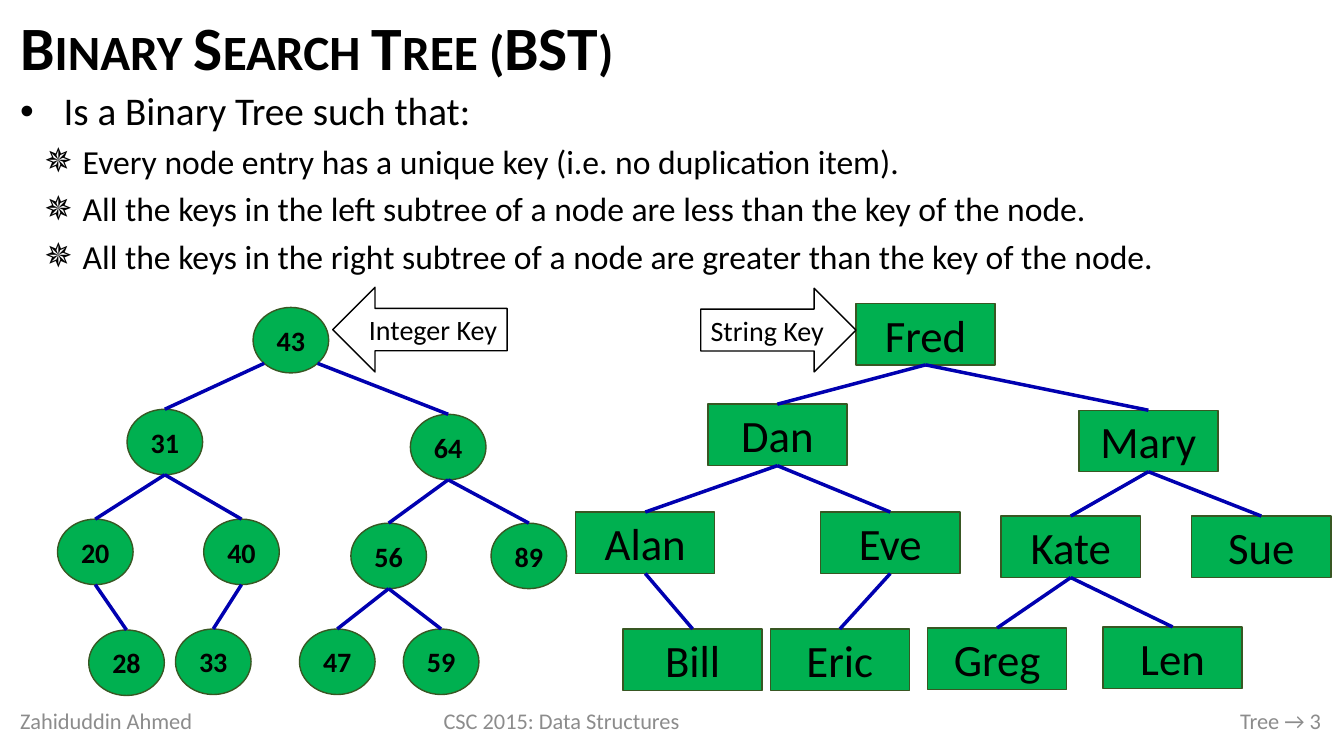
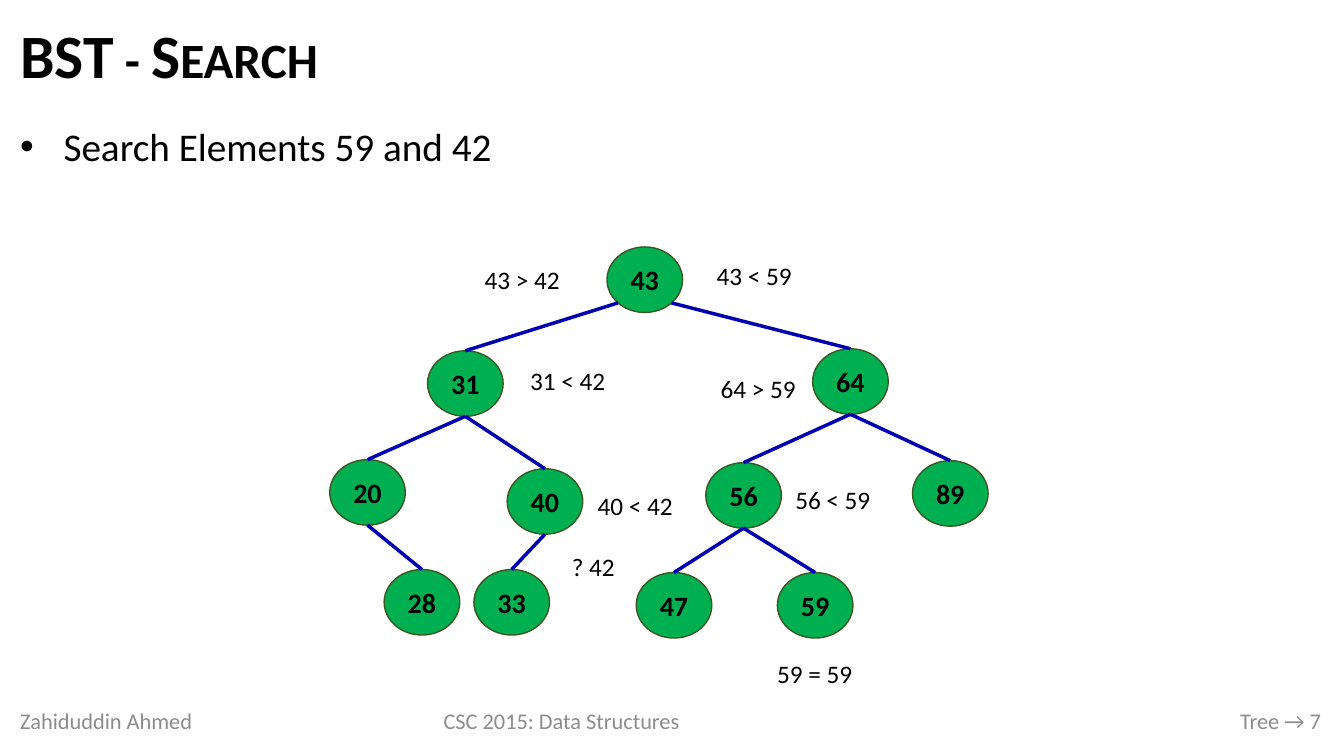
import pptx
import pptx.util
import pptx.dml.color
import pptx.enum.shapes
import pptx.enum.text
import pptx.oxml.ns
from lxml import etree

Inches = pptx.util.Inches
Pt = pptx.util.Pt
RGBColor = pptx.dml.color.RGBColor
SHAPES = pptx.enum.shapes.MSO_SHAPE
ALIGN = pptx.enum.text.PP_ALIGN
ANCHOR = pptx.enum.text.MSO_ANCHOR
qn = pptx.oxml.ns.qn

BLACK = RGBColor(0x00, 0x00, 0x00)
WHITE = RGBColor(0xFF, 0xFF, 0xFF)
GREY = RGBColor(0x8C, 0x8C, 0x8C)
NODE_GREEN = RGBColor(0x00, 0xB0, 0x50)
NODE_EDGE = RGBColor(0x38, 0x57, 0x23)
BRANCH_BLUE = RGBColor(0x00, 0x00, 0xB0)

FONT = "Calibri"
MARGIN, CONTENT_WIDTH = 0.1, 13.1
DIAGONAL = 0.5 ** 0.5

# Level: bullet sign, left indent, hanging indent, text size
BULLETS = (("•", 0.43, -0.43, 28), ("✵", 0.62, -0.38, 24))
FOOTERS = ((0.1, 2.41, ALIGN.LEFT, "Zahiduddin Ahmed"),
           (3.89, 3.36, ALIGN.CENTER, "CSC 2015: Data Structures"),
           (7.71, 5.49, ALIGN.RIGHT, "Tree → {}"))

# Node kind: shape, width, height, text size, bold, bottom connection site
CIRCLE = (SHAPES.OVAL, 0.75, 0.65, 20, True, 4)
BOX = (SHAPES.RECTANGLE, 1.38, 0.61, 32, False, 2)

# Parent of every node after the root, counted level by level
PARENTS = (0, 0, 1, 1, 2, 2, 3, 4, 5, 5)

# Nodes: text, left and top within the tree
INTEGER_TREE = (
    ("43", 1.94, 0), ("31", 0.69, 1.01), ("64", 3.5, 1.06),
    ("20", 0, 2.1), ("40", 1.45, 2.1), ("56", 2.91, 2.14), ("89", 4.3, 2.14),
    ("28", 0.31, 3.2), ("33", 1.17, 3.19), ("47", 2.4, 3.19), ("59", 3.43, 3.19))
STRING_TREE = (
    ("Fred", 2.78, 0), ("Dan", 1.31, 1), ("Mary", 4.99, 1.06),
    ("Alan", 0, 2.07), ("Eve", 2.43, 2.07), ("Kate", 4.22, 2.11), ("Sue", 6.11, 2.11),
    ("Bill", 0.47, 3.23), ("Eric", 1.93, 3.23), ("Greg", 3.49, 3.22), ("Len", 5.23, 3.21))
SEARCH_TREE = (
    ("43", 2.75, 0), ("31", 0.97, 1.03), ("64", 4.79, 1.01),
    ("20", 0, 2.11), ("40", 1.76, 2.2), ("56", 3.73, 2.14), ("89", 5.78, 2.12),
    ("28", 0.54, 3.2), ("33", 1.43, 3.2), ("47", 3.04, 3.23), ("59", 4.44, 3.23))

# Comparisons: text, left, top and width within the search tree
COMPARISONS = (
    ("43 < 59", 3.73, 0, 0.96), ("64 > 59", 3.77, 1.12, 0.96),
    ("56 < 59", 4.51, 2.23, 0.96), ("59 = 59", 4.33, 3.95, 0.96),
    ("43 > 42", 1.43, 0.04, 0.96), ("31 < 42", 1.88, 1.04, 0.96),
    ("40 < 42", 2.55, 2.28, 0.96), ("? 42", 2.28, 2.89, 0.67))


def style_font(paragraph, size, color=BLACK, bold=False):
    font = paragraph.font
    font.name, font.size, font.bold = FONT, Pt(size), bold
    font.color.rgb = color


def place(shape, left, top, width, height):
    shape.left, shape.top = Inches(left), Inches(top)
    shape.width, shape.height = Inches(width), Inches(height)


def write_line(frame, text, size, align, color=BLACK, bold=False):
    """Fill a text frame with one vertically centred paragraph."""
    frame.word_wrap = True
    frame.vertical_anchor = ANCHOR.MIDDLE
    paragraph = frame.paragraphs[0]
    paragraph.text = text
    paragraph.alignment = align
    style_font(paragraph, size, color, bold)


def add_filled(slide, kind, box, fill, outline=None):
    shape = slide.shapes.add_shape(kind, *(Inches(length) for length in box))
    shape.shadow.inherit = False
    shape.fill.solid()
    shape.fill.fore_color.rgb = fill
    if outline is None:
        shape.line.fill.background()
    else:
        shape.line.color.rgb = outline
        shape.line.width = Pt(1)
    return shape


def add_title(slide, text, height):
    title = slide.shapes.title
    place(title, MARGIN, 0.11, CONTENT_WIDTH, height)
    frame = title.text_frame
    frame.auto_size = pptx.enum.text.MSO_AUTO_SIZE.NONE
    write_line(frame, text, 44, ALIGN.LEFT, bold=True)
    heading = frame.paragraphs[0]
    heading.line_spacing = 0.9
    heading.runs[0]._r.get_or_add_rPr().set("cap", "small")


def set_bullet(paragraph, sign, indent, hanging):
    properties = paragraph._p.get_or_add_pPr()
    properties.set("marL", str(Inches(indent)))
    properties.set("indent", str(Inches(hanging)))
    color = etree.SubElement(properties, qn("a:buClr"))
    etree.SubElement(color, qn("a:srgbClr")).set("val", str(BLACK))
    etree.SubElement(properties, qn("a:buFont")).set("typeface", "Arial")
    etree.SubElement(properties, qn("a:buChar")).set("char", sign)


def add_list(slide, top, height, items, line_spacing):
    """Fill the body placeholder with (level, text) items."""
    body = slide.placeholders[1]
    place(body, MARGIN, top, CONTENT_WIDTH, height)
    frame = body.text_frame
    frame.auto_size = pptx.enum.text.MSO_AUTO_SIZE.NONE
    frame.vertical_anchor = ANCHOR.TOP
    for index, (level, text) in enumerate(items):
        paragraph = frame.add_paragraph() if index else frame.paragraphs[0]
        sign, indent, hanging, size = BULLETS[level]
        paragraph.text = text
        paragraph.level = level
        set_bullet(paragraph, sign, indent, hanging)
        paragraph.alignment = ALIGN.JUSTIFY
        paragraph.line_spacing = line_spacing
        paragraph.space_before = Pt(4 if index else 0)
        paragraph.space_after = Pt(4)
        style_font(paragraph, size)


def add_footers(slide, number):
    for left, width, align, text in FOOTERS:
        footer = slide.shapes.add_textbox(
            Inches(left), Inches(6.95), Inches(width), Inches(0.4))
        write_line(footer.text_frame, text.format(number), 16, align, GREY)


def add_branch(slide, parent, child, start, site):
    """Join a site of the parent, at the start point, to the top of the child."""
    branch = slide.shapes.add_connector(
        pptx.enum.shapes.MSO_CONNECTOR.STRAIGHT, *start,
        child.left + child.width // 2, child.top)
    branch.line.color.rgb = BRANCH_BLUE
    branch.line.width = Pt(2.5)
    element = branch._element
    etree.SubElement(element.spPr, qn("a:effectLst"))
    ends = element.find(".//" + qn("p:cNvCxnSpPr"))
    for tag, node, index in (("a:stCxn", parent, site), ("a:endCxn", child, 0)):
        end = etree.SubElement(ends, qn(tag))
        end.set("id", str(node.shape_id))
        end.set("idx", str(index))


def add_tree(slide, left, top, nodes, node_kind):
    kind, width, height, size, bold, bottom_site = node_kind
    shapes = []
    for text, dx, dy in nodes:
        node = add_filled(slide, kind, (left + dx, top + dy, width, height),
                          NODE_GREEN, NODE_EDGE)
        write_line(node.text_frame, text, size, ALIGN.CENTER, bold=bold)
        shapes.append(node)
    for child, parent_index in zip(shapes[1:], PARENTS):
        parent = shapes[parent_index]
        x, y = parent.left + parent.width // 2, parent.top + parent.height
        site = bottom_site
        if parent_index == 0 and node_kind is CIRCLE:
            # The round root branches from its lower diagonals
            side = -1 if child.left < parent.left else 1
            x += round(side * DIAGONAL * parent.width / 2)
            y -= round((1 - DIAGONAL) * parent.height / 2)
            site += side
        add_branch(slide, parent, child, (x, y), site)


def add_key_arrow(slide, kind, box, text, align):
    arrow = add_filled(slide, kind, box, WHITE, BLACK)
    write_line(arrow.text_frame, text, 20, align)
    if align == ALIGN.RIGHT:
        arrow.text_frame.margin_left = 0
    else:
        arrow.text_frame.margin_right = 0


def add_comparisons(slide, left, top):
    for text, dx, dy, width in COMPARISONS:
        label = add_filled(slide, SHAPES.RECTANGLE,
                           (left + dx, top + dy, width, 0.56), WHITE)
        label.text_frame.margin_left = label.text_frame.margin_right = 0
        write_line(label.text_frame, text, 18, ALIGN.CENTER)


def add_slide(deck, title, title_height, number):
    slide = deck.slides.add_slide(deck.slide_layouts[1])
    add_title(slide, title, title_height)
    add_footers(slide, number)
    return slide


def build_definition(deck):
    slide = add_slide(deck, "Binary Search Tree (BST)", 0.78, 3)
    add_list(slide, 0.86, 2.06, (
        (0, "Is a Binary Tree such that:"),
        (1, "Every node entry has a unique key (i.e. no duplication item)."),
        (1, "All the keys in the left subtree of a node are less than the key of the node."),
        (1, "All the keys in the right subtree of a node are greater than the key of the node."),
    ), 0.9)
    add_tree(slide, 0.57, 3.05, INTEGER_TREE, CIRCLE)
    add_tree(slide, 5.71, 3.01, STRING_TREE, BOX)
    add_key_arrow(slide, SHAPES.LEFT_ARROW, (3.3, 2.85, 1.73, 0.84),
                  "Integer Key", ALIGN.RIGHT)
    add_key_arrow(slide, SHAPES.RIGHT_ARROW, (6.95, 2.86, 1.54, 0.83),
                  "String Key", ALIGN.LEFT)


def build_search(deck):
    slide = add_slide(deck, "BST - Search", 0.95, 7)
    add_list(slide, 1.16, 0.69, ((0, "Search Elements 59 and 42"),), 1.0)
    left, top = 3.27, 2.45
    add_tree(slide, left, top, SEARCH_TREE, CIRCLE)
    add_comparisons(slide, left, top)


def main():
    deck = pptx.Presentation()
    deck.slide_width, deck.slide_height = Inches(13.33), Inches(7.5)
    build_definition(deck)
    build_search(deck)
    deck.save("out.pptx")


if __name__ == "__main__":
    main()
